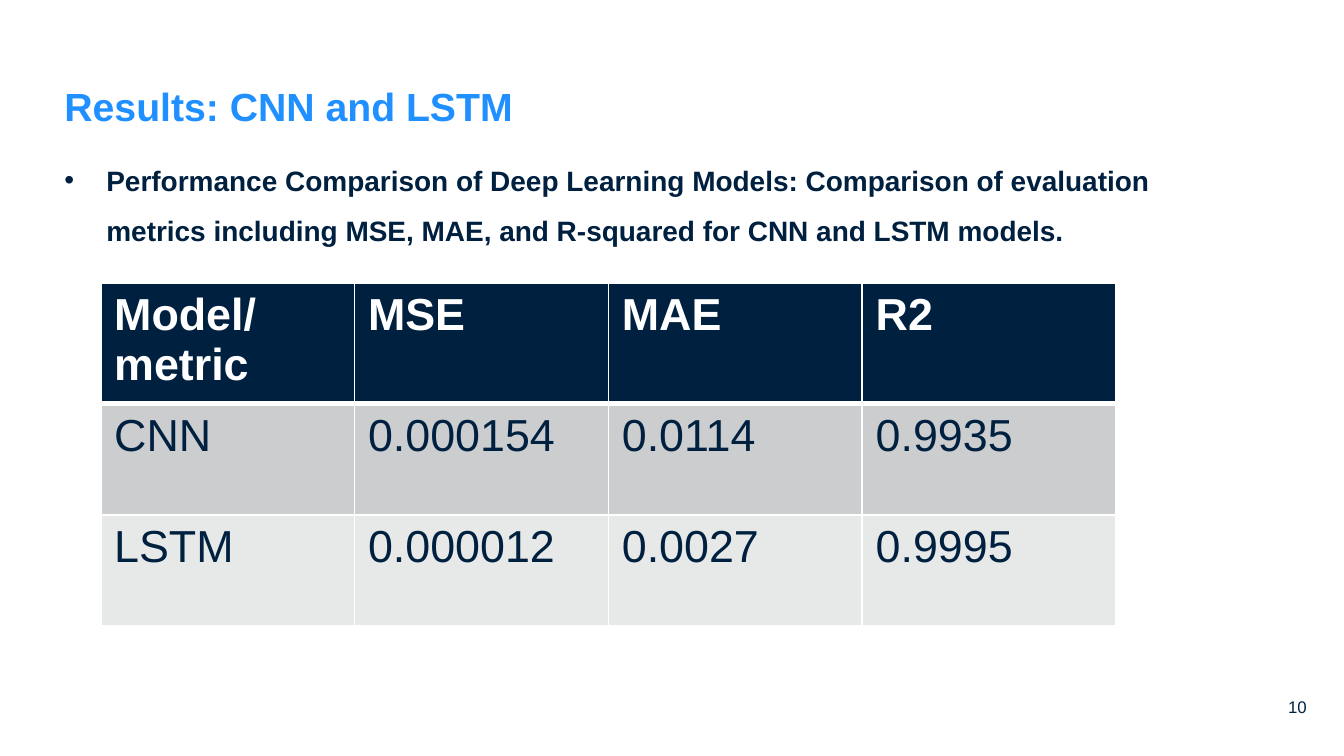
import pptx
import pptx.util
import pptx.dml.color
import pptx.enum.text
import pptx.oxml
import lxml.etree

Pt = pptx.util.Pt
ALIGN = pptx.enum.text.PP_ALIGN
NAVY, BLUE, WHITE = "002040", "208FFF", "FFFFFF"

# Content: text, box (left, top, width, height), font and paragraph formats
TITLE = ("Results: CNN and LSTM", (34.5, 44, 620.5, 35),
         {"size": Pt(21), "bold": True}, BLUE, {})
BODY = ("Performance Comparison of Deep Learning Models: Comparison of evaluation "
        "metrics including MSE, MAE, and R-squared for CNN and LSTM models.",
        (34.5, 78.5, 603.5, 291),
        {"size": Pt(15), "bold": True}, NAVY,
        {"line_spacing": 1.5, "space_before": Pt(3)})
NUMBER = ("10", (676, 373, 24, 15), {"size": Pt(9)}, NAVY,
          {"alignment": ALIGN.RIGHT, "space_before": Pt(1.8)})

METRICS = [
    ("Model/metric", "MSE", "MAE", "R2"),
    ("CNN", "0.000154", "0.0114", "0.9935"),
    ("LSTM", "0.000012", "0.0027", "0.9995"),
]
# One entry per row: fill, text colour, bold, bottom border width
ROW_STYLES = [
    (NAVY, WHITE, True, 3),
    ("CCCDCF", NAVY, False, 1),
    ("E7E8E8", NAVY, False, 1),
]
TABLE_LEFT, TABLE_TOP, COL_W, ROW_H = 54, 151.5, 136, 59.5
BULLET_INDENT = 22.5


def rgb(value):
    return pptx.dml.color.RGBColor.from_string(value)


def apply(obj, formats):
    for name, value in formats.items():
        setattr(obj, name, value)


def write(p, text, color, font):
    r = p.add_run()
    r.text = text
    apply(r.font, {"name": "Arial", **font})
    r.font.color.rgb = rgb(color)


def add_text(s, text, box, font, color, para):
    tf = s.shapes.add_textbox(*map(Pt, box)).text_frame
    apply(tf, {"word_wrap": True, "margin_left": 0, "margin_top": 0,
               "margin_right": 0, "margin_bottom": 0})
    p = tf.paragraphs[0]
    apply(p, para)
    write(p, text, color, font)
    return p


def add_bullet(p, indent):
    pPr = p._p.get_or_add_pPr()
    pPr.set("marL", str(Pt(indent)))
    pPr.set("indent", str(-Pt(indent)))
    font = lxml.etree.SubElement(pPr, pptx.oxml.ns.qn("a:buFont"))
    font.set("typeface", "Arial")
    char = lxml.etree.SubElement(pPr, pptx.oxml.ns.qn("a:buChar"))
    char.set("char", "•")


def add_borders(cell, widths):
    # Borders precede the fill in the cell properties
    tcPr = cell._tc.get_or_add_tcPr()
    for i, (side, width) in enumerate(widths.items()):
        ln = pptx.oxml.parse_xml(
            f'<a:{side} {pptx.oxml.ns.nsdecls("a")} w="{Pt(width)}"><a:solidFill>'
            f'<a:srgbClr val="{WHITE}"/></a:solidFill></a:{side}>')
        tcPr.insert(i, ln)


prs = pptx.Presentation()
prs.slide_width, prs.slide_height = Pt(720), Pt(405)
s = prs.slides.add_slide(prs.slide_layouts[6])

# Title, bulleted statement and slide number
add_text(s, *TITLE)
add_bullet(add_text(s, *BODY), BULLET_INDENT)
add_text(s, *NUMBER)

# Metrics table
n_rows, n_cols = len(METRICS), len(METRICS[0])
table = s.shapes.add_table(n_rows, n_cols, Pt(TABLE_LEFT), Pt(TABLE_TOP),
                           Pt(COL_W * n_cols), Pt(ROW_H * n_rows)).table
top_width = 1
for i, (values, style) in enumerate(zip(METRICS, ROW_STYLES)):
    fill, color, bold, bottom_width = style
    for j, value in enumerate(values):
        cell = table.cell(i, j)
        cell.fill.solid()
        cell.fill.fore_color.rgb = rgb(fill)
        add_borders(cell, {"lnL": 1, "lnR": 1, "lnT": top_width, "lnB": bottom_width})
        write(cell.text_frame.paragraphs[0], value, color,
              {"size": Pt(24), "bold": bold})
    top_width = bottom_width

prs.save("out.pptx")
